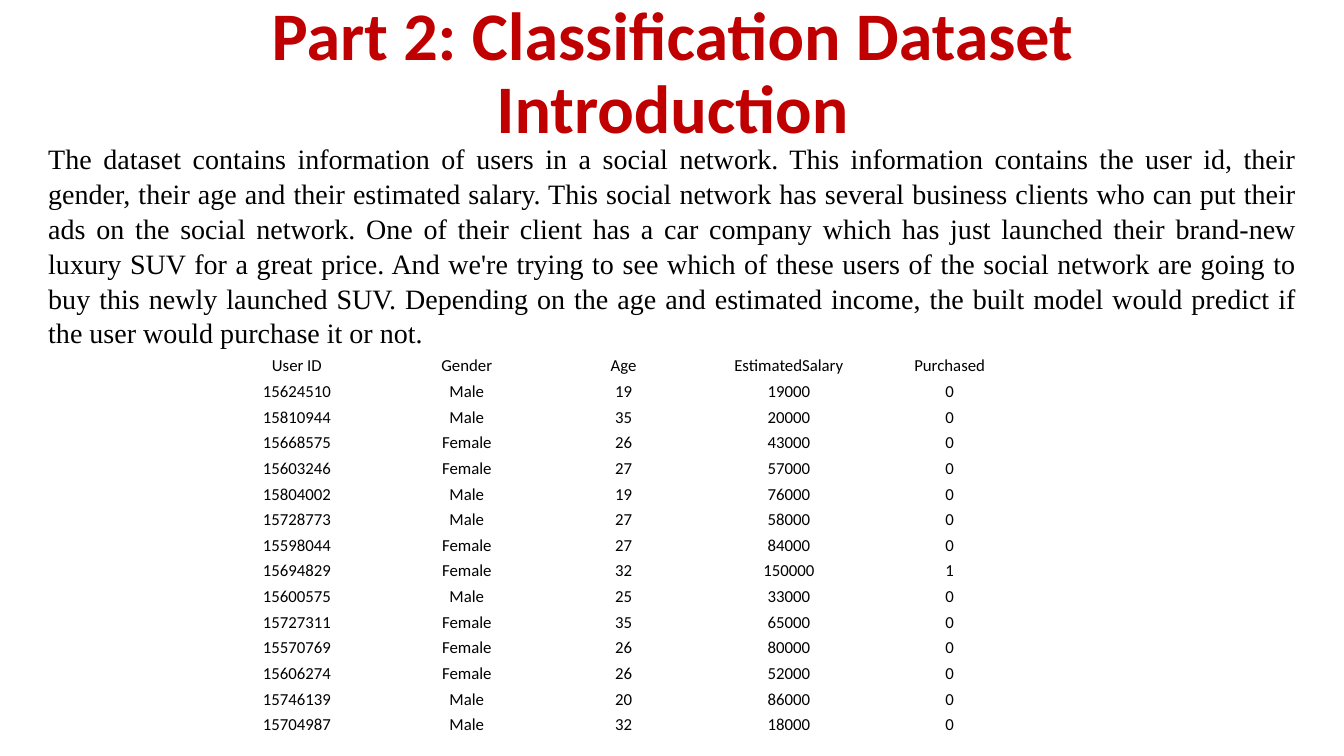
import pptx
import pptx.util
import pptx.dml.color
import pptx.enum.text
from pptx.util import Inches

COLORS = {"title": "C00000", "text": "000000"}
ALIGN = pptx.enum.text.PP_ALIGN
ANCHOR = pptx.enum.text.MSO_ANCHOR


def style(paragraph, name, size, color, alignment):
    paragraph.alignment = alignment
    paragraph.font.name = name
    paragraph.font.size = pptx.util.Pt(size)
    paragraph.font.color.rgb = pptx.dml.color.RGBColor.from_string(COLORS[color])


presentation = pptx.Presentation()
presentation.slide_width = Inches(13.33)
presentation.slide_height = Inches(7.5)
slide = presentation.slides.add_slide(presentation.slide_layouts[5])

title = slide.shapes.title
title.left, title.top = Inches(0.92), Inches(0.02)
title.width, title.height = Inches(11.5), Inches(1.45)
title.text_frame.text = "Part 2: Classification Dataset Introduction"
title.text_frame.word_wrap = True
title.text_frame.auto_size = pptx.enum.text.MSO_AUTO_SIZE.NONE
title.text_frame.vertical_anchor = ANCHOR.MIDDLE
heading = title.text_frame.paragraphs[0]
style(heading, "Calibri", 48.6, "title", ALIGN.CENTER)
heading.font.bold = True
heading.line_spacing = 0.9

users = [
    ("User ID", "Gender", "Age", "EstimatedSalary", "Purchased"),
    (15624510, "Male", 19, 19000, 0),
    (15810944, "Male", 35, 20000, 0),
    (15668575, "Female", 26, 43000, 0),
    (15603246, "Female", 27, 57000, 0),
    (15804002, "Male", 19, 76000, 0),
    (15728773, "Male", 27, 58000, 0),
    (15598044, "Female", 27, 84000, 0),
    (15694829, "Female", 32, 150000, 1),
    (15600575, "Male", 25, 33000, 0),
    (15727311, "Female", 35, 65000, 0),
    (15570769, "Female", 26, 80000, 0),
    (15606274, "Female", 26, 52000, 0),
    (15746139, "Male", 20, 86000, 0),
    (15704987, "Male", 32, 18000, 0),
]
column_widths = [1.73, 1.64, 1.47, 1.81, 1.38]
table = slide.shapes.add_table(
    len(users), len(column_widths),
    Inches(2.08), Inches(3.48), Inches(sum(column_widths)), Inches(3.82),
).table
table.first_row = False
table.horz_banding = False
for column, width in zip(table.columns, column_widths):
    column.width = Inches(width)
for row, user in zip(table.rows, users):
    row.height = Inches(3.82 / len(users))
    for cell, value in zip(row.cells, user):
        cell.fill.background()
        cell.margin_left = cell.margin_right = cell.margin_top = Inches(0.01)
        cell.margin_bottom = 0
        cell.vertical_anchor = ANCHOR.BOTTOM
        cell.text = str(value)
        style(cell.text_frame.paragraphs[0], "Calibri", 12, "text", ALIGN.CENTER)

description = slide.shapes.add_textbox(Inches(0.38), Inches(1.34), Inches(12.58), Inches(2.46))
description.text_frame.word_wrap = True
description.text_frame.auto_size = pptx.enum.text.MSO_AUTO_SIZE.SHAPE_TO_FIT_TEXT
description.text_frame.text = (
    "The dataset contains information of users in a social network. "
    "This information contains the user id, their gender, their age and their estimated salary. "
    "This social network has several business clients who can put their ads on the social network. "
    "One of their client has a car company which has just launched their brand-new luxury SUV "
    "for a great price. And we're trying to see which of these users of the social network "
    "are going to buy this newly launched SUV. Depending on the age and estimated income, "
    "the built model would predict if the user would purchase it or not."
)
body = description.text_frame.paragraphs[0]
style(body, "Times New Roman", 20, "text", ALIGN.JUSTIFY)
body.line_spacing = 1.04

presentation.save("out.pptx")
